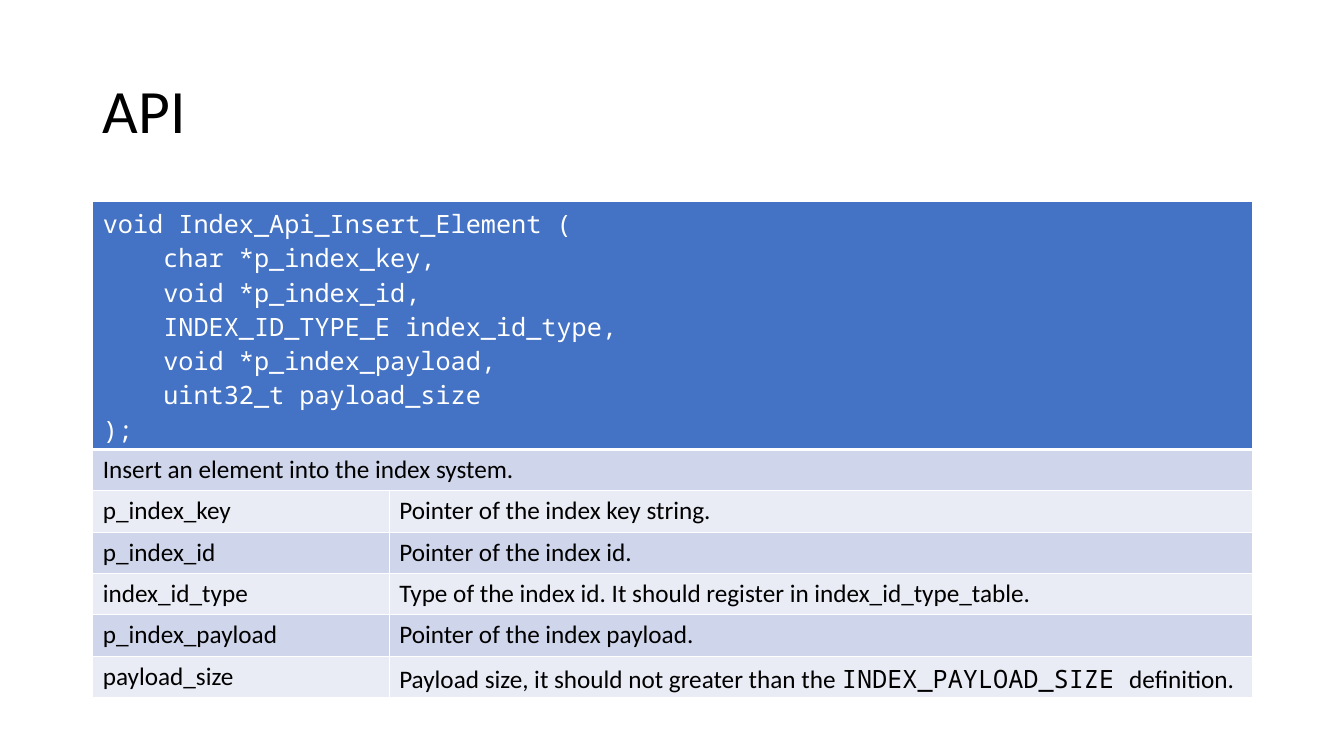
from dataclasses import dataclass

import lxml.etree
import pptx
import pptx.dml.color
import pptx.enum.text
import pptx.oxml.ns
import pptx.slide
import pptx.table
import pptx.text.text
import pptx.util

Inches = pptx.util.Inches
Pt = pptx.util.Pt
RGBColor = pptx.dml.color.RGBColor

BLACK = RGBColor(0x00, 0x00, 0x00)
WHITE = RGBColor(0xFF, 0xFF, 0xFF)
HEADER_BLUE = RGBColor(0x44, 0x72, 0xC4)
DARK_BAND = RGBColor(0xCF, 0xD5, 0xEA)
LIGHT_BAND = RGBColor(0xE9, 0xEB, 0xF5)

BODY_FONT = "Calibri"
CODE_FONT = "Noto Sans Mono"
LEFT, WIDTH = Inches(0.92), Inches(11.5)
COLUMN_WIDTHS = (Inches(2.94), Inches(8.56))
HEADER_HEIGHT, ROW_HEIGHT = Inches(2.46), Inches(0.41)
CODE_INDENT = Inches(0.6)


@dataclass(frozen=True)
class Parameter:
    name: str
    description: tuple[str, ...]  # every second part is set as code


SIGNATURE = (
    "void Index_Api_Insert_Element (",
    "char *p_index_key,",
    "void *p_index_id,",
    "INDEX_ID_TYPE_E index_id_type,",
    "void *p_index_payload,",
    "uint32_t payload_size",
    ");",
)
SUMMARY = "Insert an element into the index system."
PARAMETERS = (
    Parameter("p_index_key", ("Pointer of the index key string.",)),
    Parameter("p_index_id", ("Pointer of the index id.",)),
    Parameter("index_id_type",
              ("Type of the index id. It should register in index_id_type_table.",)),
    Parameter("p_index_payload", ("Pointer of the index payload.",)),
    Parameter("payload_size",
              ("Payload size, it should not greater than the ",
               "INDEX_PAYLOAD_SIZE ", "definition.")),
)


def format_run(run: pptx.text.text._Run, size: float, font: str, color: RGBColor) -> None:
    run.font.size = Pt(size)
    run.font.name = font
    run.font.color.rgb = color


def style_cell(cell: pptx.table._Cell, fill: RGBColor, top: float, bottom: float) -> None:
    """Give a cell white borders (widths in points) and a solid fill."""
    properties = cell._tc.get_or_add_tcPr()
    qn = pptx.oxml.ns.qn
    for side, width in (("L", 1), ("R", 1), ("T", top), ("B", bottom)):
        line = lxml.etree.SubElement(properties, qn(f"a:ln{side}"), w=str(Pt(width)))
        solid = lxml.etree.SubElement(line, qn("a:solidFill"))
        lxml.etree.SubElement(solid, qn("a:srgbClr"), val=str(WHITE))
    cell.fill.solid()
    cell.fill.fore_color.rgb = fill


def write_cell(cell: pptx.table._Cell, parts: tuple[str, ...]) -> None:
    paragraph = cell.text_frame.paragraphs[0]
    for index, part in enumerate(parts):
        run = paragraph.add_run()
        run.text = part
        format_run(run, 18, CODE_FONT if index % 2 else BODY_FONT, BLACK)


def write_signature(cell: pptx.table._Cell) -> None:
    cell.text_frame.text = "\n".join(SIGNATURE)
    paragraphs = cell.text_frame.paragraphs
    for paragraph in paragraphs:
        format_run(paragraph.runs[0], 18, CODE_FONT, WHITE)
    for paragraph in paragraphs[1:-1]:
        paragraph._p.get_or_add_pPr().set("marL", str(CODE_INDENT))


def add_title(slide: pptx.slide.Slide, text: str) -> None:
    shape = slide.shapes.add_textbox(LEFT, Inches(0.4), WIDTH, Inches(1.45))
    frame = shape.text_frame
    frame.word_wrap = True
    frame.vertical_anchor = pptx.enum.text.MSO_ANCHOR.MIDDLE
    frame.text = text
    paragraph = frame.paragraphs[0]
    paragraph.line_spacing = 0.9
    format_run(paragraph.runs[0], 44, BODY_FONT, BLACK)


def add_api_table(slide: pptx.slide.Slide) -> None:
    row_count = len(PARAMETERS) + 2
    height = HEADER_HEIGHT + ROW_HEIGHT * (row_count - 1)
    table = slide.shapes.add_table(
        row_count, len(COLUMN_WIDTHS), LEFT, Inches(2), WIDTH, height).table
    table.first_row = False
    table.horz_banding = False
    for column, width in zip(table.columns, COLUMN_WIDTHS):
        column.width = width

    # Row heights, bands and borders
    for index, row in enumerate(table.rows):
        row.height = ROW_HEIGHT if index else HEADER_HEIGHT
        band = DARK_BAND if index % 2 else LIGHT_BAND
        for cell in row.cells:
            style_cell(cell, band if index else HEADER_BLUE,
                       top=3 if index == 1 else 1, bottom=1 if index else 3)

    # Signature and summary span both columns
    for index in (0, 1):
        table.cell(index, 0).merge(table.cell(index, 1))
    write_signature(table.cell(0, 0))
    write_cell(table.cell(1, 0), (SUMMARY,))

    # One row per parameter
    for index, parameter in enumerate(PARAMETERS, start=2):
        write_cell(table.cell(index, 0), (parameter.name,))
        write_cell(table.cell(index, 1), parameter.description)


def main() -> None:
    presentation = pptx.Presentation()
    presentation.slide_width = Inches(13.33)
    presentation.slide_height = Inches(7.5)
    slide = presentation.slides.add_slide(presentation.slide_layouts[6])
    add_title(slide, "API")
    add_api_table(slide)
    presentation.save("out.pptx")


if __name__ == "__main__":
    main()
